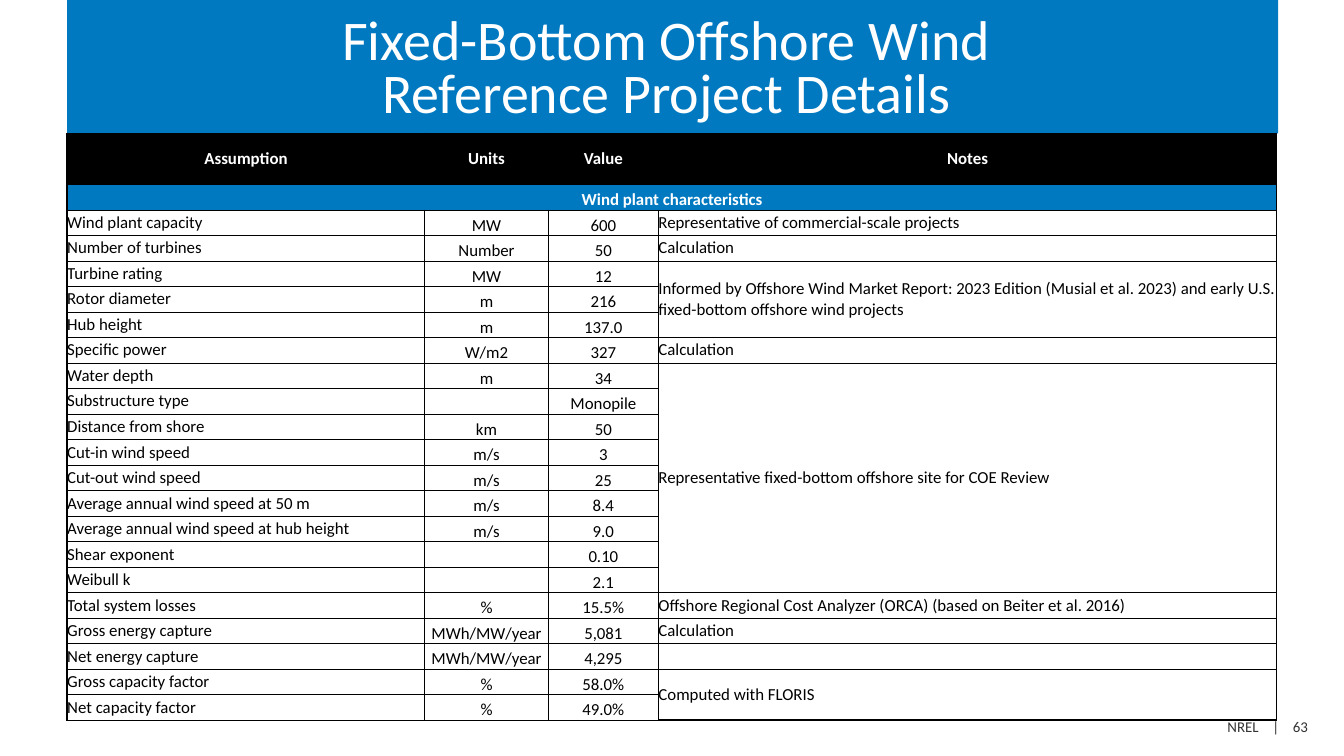
"""Build the reference project slide for fixed-bottom offshore wind."""
import lxml.etree
import pptx
import pptx.dml.color
import pptx.enum.text
import pptx.oxml.ns
import pptx.util

ALIGN = pptx.enum.text.PP_ALIGN
ANCHOR = pptx.enum.text.MSO_ANCHOR
BLUE, BLACK, WHITE, GREY = "0079C1", "000000", "FFFFFF", "333333"
COLS = [26.6, 9.2, 8.2, 46]
HEAD, ROW = 6.76, 3.38
ROWS = [
    ("Assumption", "Units", "Value", "Notes"),
    ("Wind plant characteristics",),
    ("Wind plant capacity", "MW", "600", "Representative of commercial-scale projects"),
    ("Number of turbines", "Number", "50", "Calculation"),
    ("Turbine rating", "MW", "12",
     "Informed by Offshore Wind Market Report: 2023 Edition (Musial et al. 2023) "
     "and early U.S. fixed-bottom offshore wind projects"),
    ("Rotor diameter", "m", "216"),
    ("Hub height", "m", "137.0"),
    ("Specific power", "W/m2", "327", "Calculation"),
    ("Water depth", "m", "34", "Representative fixed-bottom offshore site for COE Review"),
    ("Substructure type", "", "Monopile"),
    ("Distance from shore", "km", "50"),
    ("Cut-in wind speed", "m/s", "3"),
    ("Cut-out wind speed", "m/s", "25"),
    ("Average annual wind speed at 50 m", "m/s", "8.4"),
    ("Average annual wind speed at hub height", "m/s", "9.0"),
    ("Shear exponent", "", "0.10"),
    ("Weibull k", "", "2.1"),
    ("Total system losses", "%", "15.5%",
     "Offshore Regional Cost Analyzer (ORCA) (based on Beiter et al. 2016)"),
    ("Gross energy capture", "MWh/MW/year", "5,081", "Calculation"),
    ("Net energy capture", "MWh/MW/year", "4,295"),
    ("Gross capacity factor", "%", "58.0%", "Computed with FLORIS"),
    ("Net capacity factor", "%", "49.0%"),
]
SPANS = [(1, 0, 1, 3), (4, 3, 6, 3), (8, 3, 16, 3), (20, 3, 21, 3)]


def shade(code):
    return pptx.dml.color.RGBColor.from_string(code)


def edges(row, col):
    """Return the widths of the left, right, top and bottom borders."""
    wide = (
        col == 0,
        row == 1 or col == 3 and not 3 <= row <= 16,
        row <= 1,
        row == 0 or col == 3 and row >= 20,
    )
    return [1 if flag else 0.5 for flag in wide]


class Deck:
    def __init__(self, font):
        self.font = font
        self.file = pptx.Presentation()
        self.file.slide_width = pptx.util.Inches(10)
        self.file.slide_height = self.file.slide_width * 9 // 16
        self.slide = self.file.slides.add_slide(self.file.slide_layouts[5])

    def wide(self, share):
        return round(self.file.slide_width * share / 100)

    def high(self, share):
        return round(self.file.slide_height * share / 100)

    def box(self, left, top, width, height):
        return self.wide(left), self.high(top), self.wide(width), self.high(height)

    def run(self, para, text, size, color, bold=False):
        run = para.add_run()
        run.text = text
        run.font.name = self.font
        run.font.size = pptx.util.Pt(size)
        run.font.bold = bold
        run.font.color.rgb = shade(color)
        return run

    def title(self, lines, *place):
        shape = self.slide.shapes.title
        shape.left, shape.top, shape.width, shape.height = self.box(*place)
        shape.fill.solid()
        shape.fill.fore_color.rgb = shade(BLUE)
        frame = shape.text_frame
        frame.word_wrap = True
        frame.auto_size = pptx.enum.text.MSO_AUTO_SIZE.NONE
        frame.vertical_anchor = ANCHOR.MIDDLE
        frame.margin_top = pptx.util.Inches(0.13)
        para = frame.paragraphs[0]
        para.alignment = ALIGN.CENTER
        para.line_spacing = pptx.util.Pt(28)
        for num, line in enumerate(lines):
            if num:
                para.add_line_break()
            self.run(para, line, 30, WHITE)

    def foot(self, parts, *place):
        frame = self.slide.shapes.add_textbox(*self.box(*place)).text_frame
        frame.word_wrap = True
        para = frame.paragraphs[0]
        para.alignment = ALIGN.RIGHT
        for num, part in enumerate(parts):
            if num:
                gap = self.run(para, " ", 8, GREY)
                gap.font._element.set("spc", "540")
            self.run(para, part, 8, GREY)

    def line(self, cell, widths):
        props = cell._tc.get_or_add_tcPr()
        name = pptx.oxml.ns.qn
        for spot, (side, width) in enumerate(zip("LRTB", widths)):
            edge = lxml.etree.Element(name("a:ln" + side), w=str(pptx.util.Pt(width)))
            fill = lxml.etree.SubElement(edge, name("a:solidFill"))
            lxml.etree.SubElement(fill, name("a:srgbClr"), val=BLACK)
            props.insert(spot, edge)

    def cell(self, cell, row, col, text):
        cell.margin_left = cell.margin_right = 0
        cell.margin_top = cell.margin_bottom = 0
        low = row == 1 or row > 1 and col in (1, 2)
        cell.vertical_anchor = ANCHOR.BOTTOM if low else ANCHOR.MIDDLE
        if row < 2:
            cell.fill.solid()
            cell.fill.fore_color.rgb = shade((BLACK, BLUE)[row])
        else:
            cell.fill.background()
        self.line(cell, edges(row, col))
        para = cell.text_frame.paragraphs[0]
        para.alignment = ALIGN.CENTER if row < 2 or low else ALIGN.LEFT
        if text:
            self.run(para, text, 9, WHITE if row < 2 else BLACK, row < 2)
        else:
            lxml.etree.SubElement(para._p, pptx.oxml.ns.qn("a:endParaRPr"), sz="900")

    def table(self, rows, spans, left, top):
        tall = HEAD + ROW * (len(rows) - 1)
        place = self.box(left, top, sum(COLS), tall)
        table = self.slide.shapes.add_table(len(rows), len(COLS), *place).table
        table.first_row = table.horz_banding = False
        for col, share in zip(table.columns, COLS):
            col.width = self.wide(share)
        for row, texts in enumerate(rows):
            table.rows[row].height = self.high(ROW if row else HEAD)
            for col in range(len(COLS)):
                text = texts[col] if col < len(texts) else ""
                self.cell(table.cell(row, col), row, col, text)
        for top_row, first, end_row, last in spans:
            table.cell(top_row, first).merge(table.cell(end_row, last))


def main():
    deck = Deck("Calibri")
    deck.title(["Fixed-Bottom Offshore Wind ", "Reference Project Details "], 5, 0, 90.1, 17.65)
    deck.foot(["NREL", "|", "63"], 73.4, 94.1, 24.9, 4.3)
    deck.table(ROWS, SPANS, 5, 17.65)
    deck.file.save("out.pptx")


if __name__ == "__main__":
    main()
